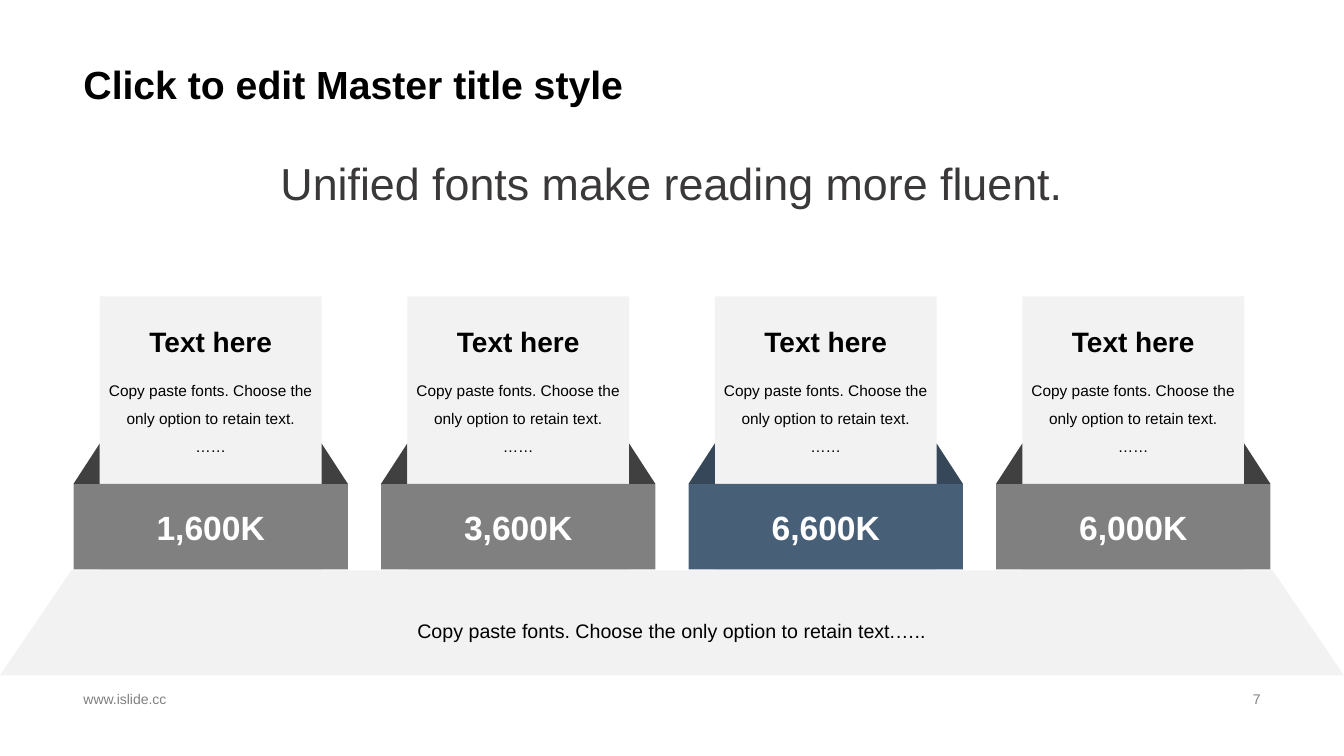
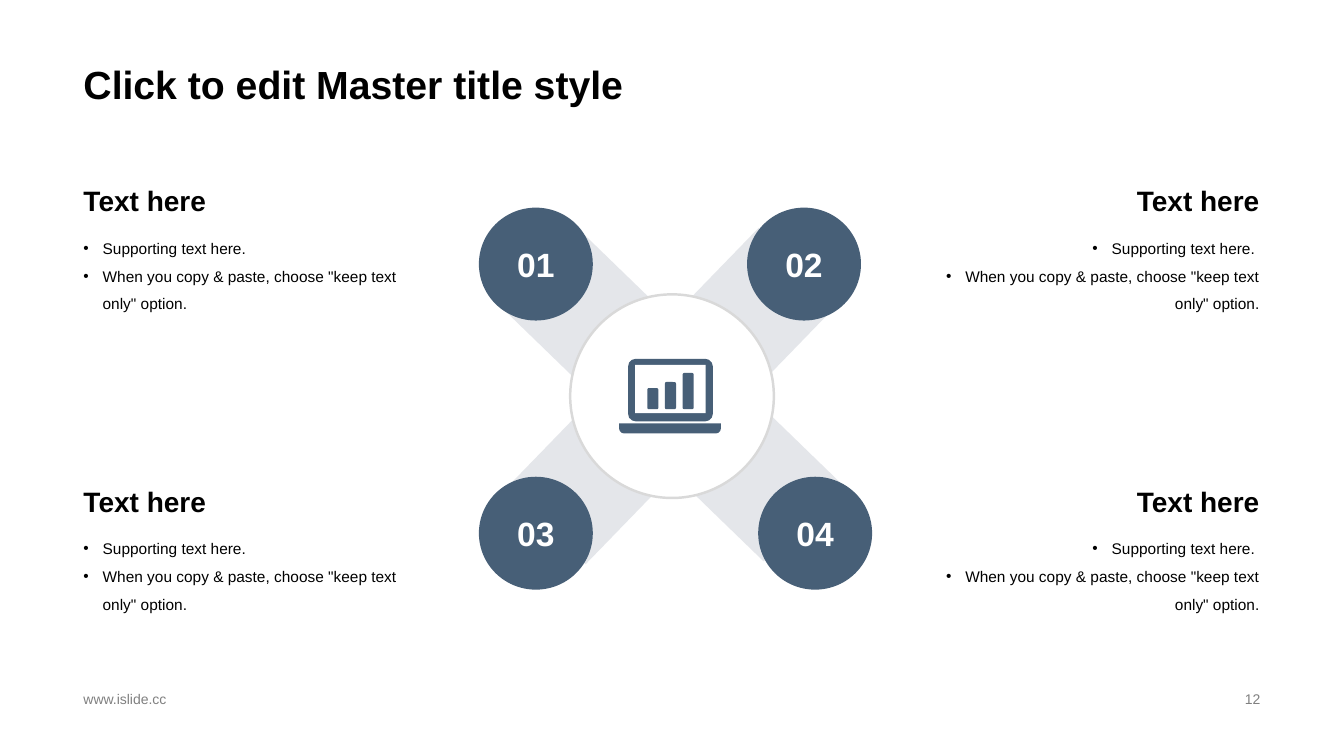
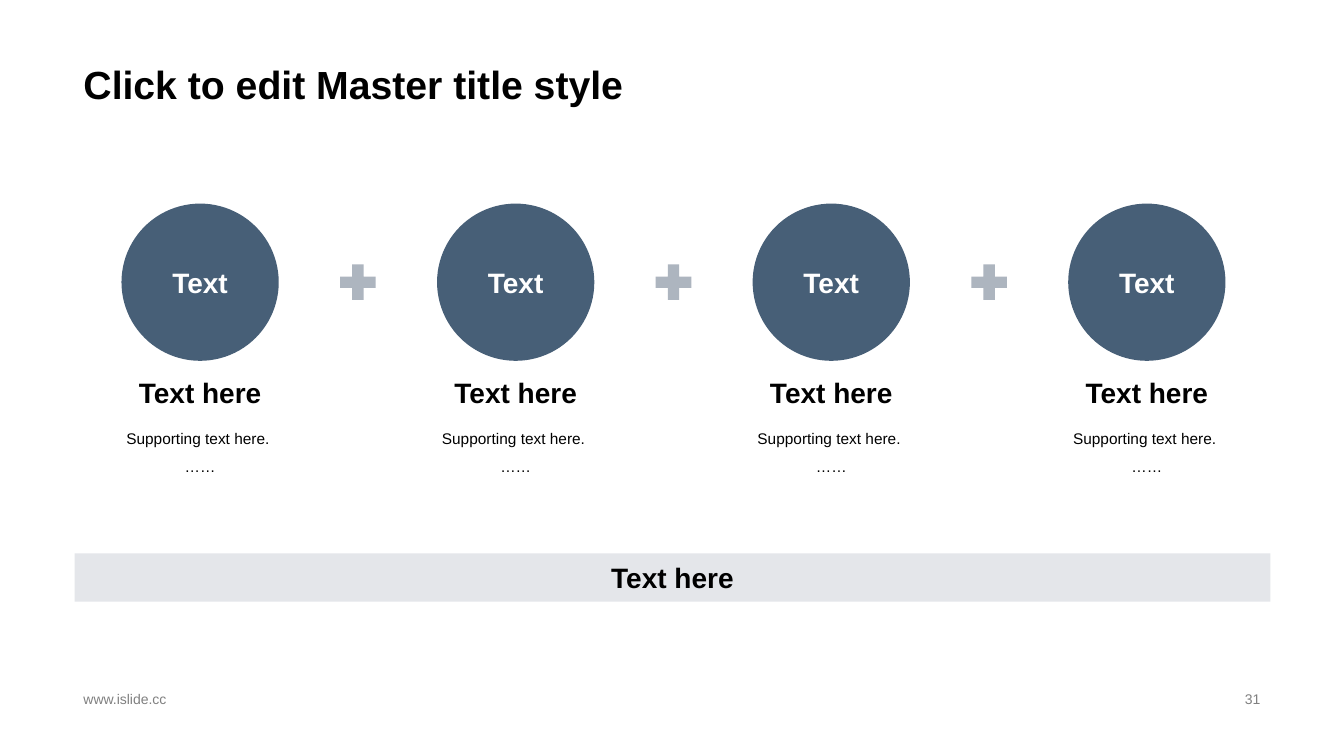
from dataclasses import dataclass
from math import cos, radians, sin
from typing import Any, NamedTuple

from lxml import etree
from pptx import Presentation, util as u
from pptx.dml.color import RGBColor
from pptx.enum import shapes, text
from pptx.oxml.ns import qn

# Shared look
WIDTH, HEIGHT = 13.33, 7.5
MARGIN = 0.73
CONTENT = WIDTH - 2 * MARGIN
BLACK, WHITE, INK = "000000", "FFFFFF", "3A3838"
BLUE, NAVY, STEEL = "475F77", "354759", "ADB5BF"
GREY, DARK, PALE, MIST, RING = "808080", "404040", "F2F2F2", "E4E6EA", "D9D9D9"

KIND = shapes.MSO_SHAPE
ALIGN = text.PP_ALIGN
ANCHOR = text.MSO_ANCHOR
LEFT, CENTER, RIGHT = ALIGN.LEFT, ALIGN.CENTER, ALIGN.RIGHT


class Place(NamedTuple):
    """Left, top, width and height in inches."""
    left: float
    top: float
    width: float
    height: float


def around(x: float, y: float, width: float, height: float) -> Place:
    return Place(x - width / 2, y - height / 2, width, height)


@dataclass(frozen=True)
class Grid:
    """Cells that start at a corner and repeat at fixed steps."""
    left: float
    top: float
    column_step: float
    row_step: float = 0

    def place(self, column: int, row: int, width: float, height: float,
              dx: float = 0, dy: float = 0) -> Place:
        return Place(self.left + column * self.column_step + dx,
                     self.top + row * self.row_step + dy, width, height)


@dataclass(frozen=True)
class Style:
    size: float
    color: str = BLACK
    bold: bool = False
    align: Any = CENTER
    anchor: Any = ANCHOR.MIDDLE
    spacing: float = 1.0
    bullet: bool = False


HEADING = Style(20, bold=True)
BODY = Style(11, anchor=ANCHOR.TOP, spacing=1.5)
FIGURE = Style(24, WHITE, bold=True)


def rgb(color: str) -> RGBColor:
    return RGBColor.from_string(color)


def write(box: Any, lines: list[str], style: Style) -> None:
    frame = box.text_frame
    frame.word_wrap = True
    frame.vertical_anchor = style.anchor
    formats = {"name": "Arial", "size": u.Pt(style.size), "bold": style.bold}
    for index, line in enumerate(lines):
        para = frame.add_paragraph() if index else frame.paragraphs[0]
        para.alignment = style.align
        para.line_spacing = style.spacing
        if style.bullet:
            add_bullet(para)
        span = para.add_run()
        span.text = line
        for name, value in formats.items():
            setattr(span.font, name, value)
        span.font.color.rgb = rgb(style.color)


def add_bullet(para: Any) -> None:
    indent = u.Inches(0.19)
    properties = para._p.get_or_add_pPr()
    properties.set("marL", str(indent))
    properties.set("indent", str(-indent))
    etree.SubElement(properties, qn("a:buFont"), typeface="Arial")
    etree.SubElement(properties, qn("a:buChar"), char="•")


def add_text(page: Any, place: Place, lines: list[str], style: Style) -> None:
    write(page.shapes.add_textbox(*map(u.Inches, place)), lines, style)


def add_shape(page: Any, kind: Any, place: Place, fill: str, label: str = "",
              style: Style = HEADING, adjust: float | None = None,
              rotation: float = 0) -> Any:
    box = page.shapes.add_shape(kind, *map(u.Inches, place))
    box.shadow.inherit = False
    box.fill.solid()
    box.fill.fore_color.rgb = rgb(fill)
    box.line.fill.background()
    box.rotation = rotation
    if adjust is not None:
        box.adjustments[0] = adjust
    if label:
        write(box, [label], style)
    return box


def add_page(deck: Any, number: int) -> Any:
    """A blank page with the common title and footer."""
    page = deck.slides.add_slide(deck.slide_layouts[6])
    add_text(page, Place(MARGIN, 0, CONTENT, 1.12), ["Click to edit Master title style"],
             Style(28, bold=True, align=LEFT, anchor=ANCHOR.BOTTOM, spacing=0.9))
    footer_top, footer_height, number_width = 6.82, 0.23, 3.18
    add_text(page, Place(MARGIN, footer_top, 4.53, footer_height), ["www.islide.cc"],
             Style(10, GREY, align=LEFT))
    add_text(page, Place(WIDTH - MARGIN - number_width, footer_top, number_width, footer_height),
             [str(number)], Style(10, GREY, align=RIGHT))
    return page


# Page with four cards standing in boxes
class Card(NamedTuple):
    amount: str
    front: str = GREY
    side: str = DARK


def build_cards(deck: Any) -> None:
    page = add_page(deck, 7)
    cards = [Card("1,600K"), Card("3,600K"), Card("6,600K", BLUE, NAVY), Card("6,000K")]
    grid = Grid(MARGIN, 2.94, 3.05)
    front_width, flap, text_width = 2.72, 0.26, 2.39
    for column, card in enumerate(cards):
        add_shape(page, KIND.RECTANGLE,
                  grid.place(column, 0, front_width - 2 * flap, 2.72, dx=flap), PALE)
        add_shape(page, KIND.RECTANGLE,
                  grid.place(column, 0, front_width, 0.85, dy=1.86), card.front,
                  card.amount, FIGURE)
        for dx, flipped in ((0, True), (front_width - flap, False)):
            corner = add_shape(page, KIND.RIGHT_TRIANGLE,
                               grid.place(column, 0, flap, 0.4, dx, 1.46), card.side)
            if flipped:
                corner._element.spPr.xfrm.set("flipH", "1")
        inset = (front_width - text_width) / 2
        add_text(page, grid.place(column, 0, text_width, 0.95, inset, 0.7),
                 ["Copy paste fonts. Choose the only option to retain text.", "……"], BODY)
        add_text(page, grid.place(column, 0, text_width, 0.48, inset, 0.21),
                 ["Text here"], HEADING)

    add_text(page, Place(MARGIN, 1.39, CONTENT, 0.85),
             ["Unified fonts make reading more fluent."], Style(32, INK))
    add_shape(page, KIND.TRAPEZOID, Place(0, 5.66, WIDTH, 1.04), PALE,
              "Copy paste fonts. Choose the only option to retain text.…..",
              Style(14, spacing=1.5), adjust=0.68)


# Page with a hub and four numbered discs
def add_laptop(page: Any) -> None:
    add_shape(page, KIND.ROUNDED_RECTANGLE, Place(6.23, 3.56, 0.84, 0.62), BLUE, adjust=0.12)
    add_shape(page, KIND.RECTANGLE, Place(6.3, 3.62, 0.7, 0.48), WHITE)
    bars = Grid(6.42, 4.06, 0.175)
    for column, height in enumerate((0.21, 0.27, 0.36)):
        add_shape(page, KIND.ROUNDED_RECTANGLE,
                  bars.place(column, 0, 0.11, height, dy=-height), BLUE, adjust=0.15)
    add_shape(page, KIND.ROUND_2_SAME_RECTANGLE, Place(6.14, 4.2, 1.01, 0.1), BLUE,
              adjust=0.5, rotation=180)


def build_hub(deck: Any) -> None:
    page = add_page(deck, 12)
    hub_x, hub_y, hub_size = WIDTH / 2, 3.93, 2.02
    arm_size, arm_reach, tilt = 1.09, 1.25, 44.1
    for quarter in range(4):
        angle = radians(tilt + 90 * quarter)
        add_shape(page, KIND.RECTANGLE,
                  around(hub_x + arm_reach * cos(angle), hub_y + arm_reach * sin(angle),
                         arm_size, arm_size), MIST, rotation=tilt)
    hub = add_shape(page, KIND.OVAL, around(hub_x, hub_y, hub_size, hub_size), WHITE)
    hub.line.color.rgb = rgb(RING)
    hub.line.width = u.Pt(1.75)
    add_laptop(page)

    discs = ((4.75, 2.06), (7.41, 2.06), (4.75, 4.73), (7.52, 4.73))
    for number, (left, top) in enumerate(discs, 1):
        add_shape(page, KIND.OVAL, Place(left, top, 1.13, 1.12), BLUE, f"{number:02}", FIGURE)

    panels = Grid(MARGIN, 1.75, 8.22, 2.98)
    sides = ((LEFT, "Supporting text here."), (RIGHT, "Supporting text here. "))
    for row in range(2):
        for column, (align, opening) in enumerate(sides):
            add_text(page, panels.place(column, row, 3.64, 0.95, dy=0.48),
                     [opening, 'When you copy & paste, choose "keep text only" option.'],
                     Style(11, align=align, anchor=ANCHOR.TOP, spacing=1.5, bullet=True))
            add_text(page, panels.place(column, row, 3.64, 0.48), ["Text here"],
                     Style(20, bold=True, align=align))


# Page with four circles added together
def build_sum(deck: Any) -> None:
    page = add_page(deck, 31)
    count, step, column_width, circle, plus = 4, 3.13, 2.49, 1.56, 0.48
    grid = Grid(0.74, 2.02, step)
    for column in range(count):
        add_shape(page, KIND.OVAL,
                  grid.place(column, 0, circle, circle, (column_width - circle) / 2), BLUE,
                  "Text", Style(20, WHITE, bold=True))
        add_text(page, grid.place(column, 0, column_width, 0.48, dy=1.61), ["Text here"],
                 Style(20, bold=True, anchor=ANCHOR.BOTTOM))
        add_text(page, grid.place(column, 0, column_width, 1.16, dy=2.1),
                 ["Supporting text here. ", "……"], BODY)
        if column < count - 1:
            add_shape(page, KIND.MATH_PLUS,
                      grid.place(column, 0, plus, plus, (column_width + step - plus) / 2,
                                 (circle - plus) / 2), STEEL)
    add_shape(page, KIND.RECTANGLE, Place(0.74, 5.49, 11.86, 0.48), MIST, "Text here", HEADING)


def main() -> None:
    deck = Presentation()
    deck.slide_width, deck.slide_height = u.Inches(WIDTH), u.Inches(HEIGHT)
    for build in (build_cards, build_hub, build_sum):
        build(deck)
    deck.save("out.pptx")


if __name__ == "__main__":
    main()
